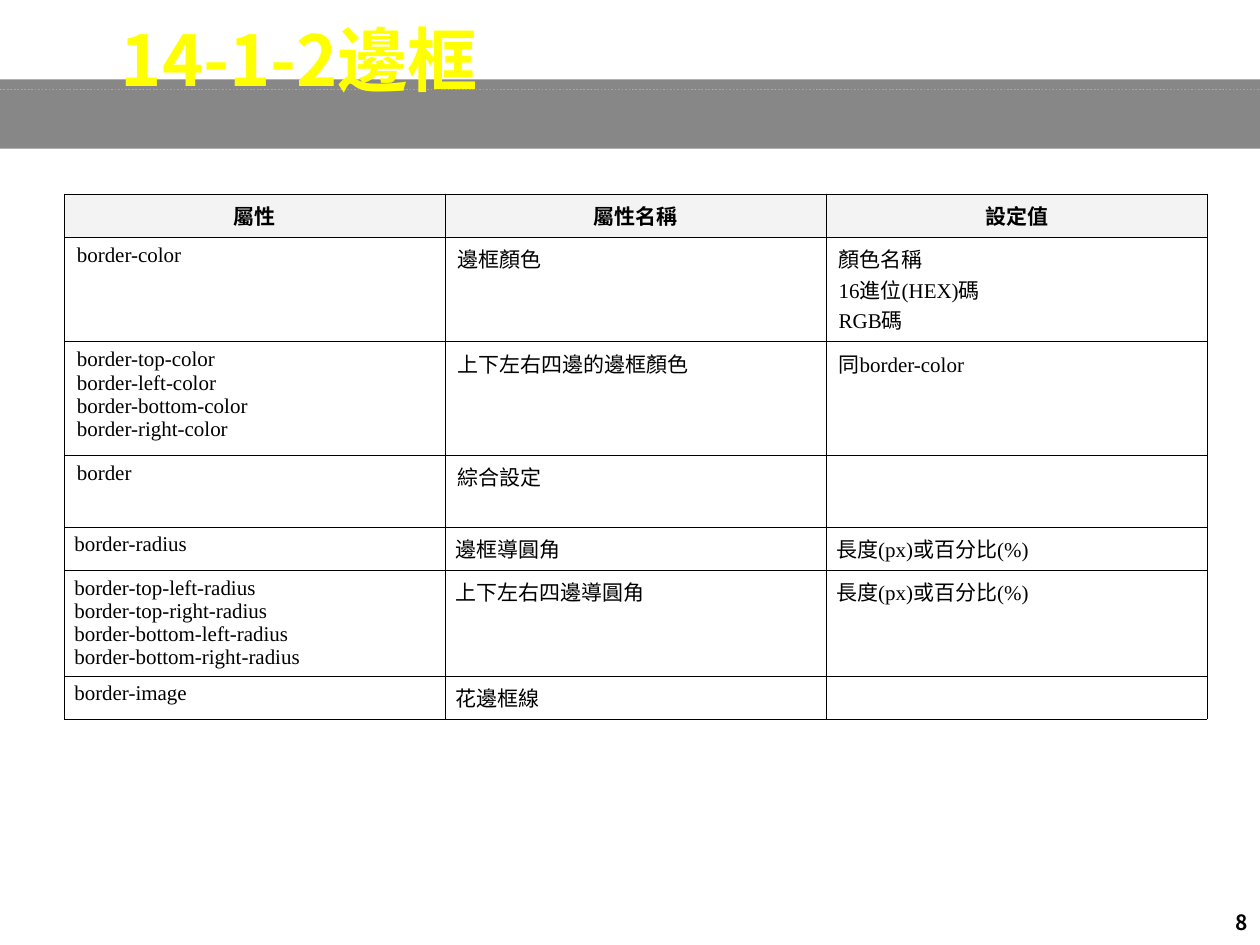
"""Build the slide with the table of border properties."""
from dataclasses import dataclass

import pptx
import pptx.dml.color
import pptx.enum.dml
import pptx.enum.shapes
import pptx.enum.text
import pptx.oxml
import pptx.oxml.ns
import pptx.util

Inches = pptx.util.Inches
Pt = pptx.util.Pt
Align = pptx.enum.text.PP_ALIGN
SANS, SERIF = "Noto Sans CJK SC", "Times New Roman"
HUES = {"band": "111111", "rule": "99CC00", "title": "FFFF00", "ink": "000000", "head": "F3F3F3"}
NS = pptx.oxml.ns.nsdecls("a")


@dataclass
class Row:
    """A table row: its height, cell texts, side inset and hanging indent."""
    high: float
    cells: tuple[str, str, str]
    inset: float = 0.1
    hang: float = 0.38


ROWS = [
    Row(0.34, ("屬性", "屬性名稱", "設定值")),
    Row(0.83, ("border-color", "邊框顏色", "顏色名稱\n16進位(HEX)碼\nRGB碼")),
    Row(0.9, ("border-top-color\nborder-left-color\nborder-bottom-color\nborder-right-color",
              "上下左右四邊的邊框顏色", "同border-color")),
    Row(0.57, ("border", "綜合設定", "")),
    Row(0.34, ("border-radius", "邊框導圓角", "長度(px)或百分比(%)"), 0.08, 0),
    Row(0.83, ("border-top-left-radius\nborder-top-right-radius\n"
               "border-bottom-left-radius\nborder-bottom-right-radius",
               "上下左右四邊導圓角", "長度(px)或百分比(%)"), 0.08, 0),
    Row(0.34, ("border-image", "花邊框線", ""), 0.08, 0),
]


def tint(name: str) -> pptx.dml.color.RGBColor:
    """Give the named colour."""
    return pptx.dml.color.RGBColor.from_string(HUES[name])


def write(frame, text: str, *, size: float = 12, face: str = SERIF, hue: str = "ink",
          bold: bool = False, align=Align.LEFT, space: float = 1.0, hang: float = 0) -> None:
    """Put formatted text in a frame, one paragraph a line."""
    frame.word_wrap = True
    for i, line in enumerate(text.split("\n")):
        para = frame.paragraphs[0] if i == 0 else frame.add_paragraph()
        para.alignment, para.line_spacing = align, space
        para.space_before = para.space_after = Pt(0)
        props = para._p.get_or_add_pPr()
        props.set("marL", str(Inches(hang)))
        props.set("indent", str(-Inches(hang)))
        if not line:
            para._p.append(pptx.oxml.parse_xml(f'<a:endParaRPr {NS} sz="{int(size * 100)}"/>'))
            continue
        run = para.add_run()
        run.text = line
        font = run.font
        font.size, font.name, font.bold = Pt(size), face, bold
        font.color.rgb = tint(hue)
        font._element.find(pptx.oxml.ns.qn("a:latin")).addnext(
            pptx.oxml.parse_xml(f'<a:ea {NS} typeface="{SANS}"/>'))


def edge(cell, width: float = 0.45) -> None:
    """Draw all four borders of a cell."""
    props = cell._tc.get_or_add_tcPr()
    for i, side in enumerate("LRTB"):
        props.insert(i, pptx.oxml.parse_xml(
            f'<a:ln{side} {NS} w="{Pt(width)}"><a:solidFill>'
            f'<a:srgbClr val="{HUES["ink"]}"/></a:solidFill></a:ln{side}>'))


def grid(slide, rows: list[Row]) -> None:
    """Draw the table with its shaded head row."""
    high = sum(row.high for row in rows)
    table = slide.shapes.add_table(len(rows), 3, Inches(0.51), Inches(1.54),
                                   Inches(9.07), Inches(high)).table
    table.horz_banding = False
    for r, row in enumerate(rows):
        table.rows[r].height = Inches(row.high)
        head = r == 0
        for c, text in enumerate(row.cells):
            cell = table.cell(r, c)
            cell.margin_left = cell.margin_right = Inches(row.inset)
            cell.margin_top = cell.margin_bottom = Inches(0.05)
            if head:
                cell.fill.solid()
                cell.fill.fore_color.rgb = tint("head")
            else:
                cell.fill.background()
            edge(cell)
            write(cell.text_frame, text, bold=head, hang=row.hang,
                  align=Align.CENTER if head else Align.LEFT)


def band(slide) -> None:
    """Draw the grey band and the dotted rule on it."""
    bar = slide.shapes.add_shape(pptx.enum.shapes.MSO_SHAPE.RECTANGLE,
                                 0, Inches(0.63), Inches(10), Inches(0.55))
    bar.shadow.inherit = False
    bar.fill.solid()
    bar.fill.fore_color.rgb = tint("band")
    bar.line.fill.background()
    shade = bar._element.spPr.find(".//" + pptx.oxml.ns.qn("a:srgbClr"))
    shade.append(pptx.oxml.parse_xml(f'<a:alpha {NS} val="50000"/>'))
    rule = slide.shapes.add_connector(pptx.enum.shapes.MSO_CONNECTOR.STRAIGHT,
                                      0, Inches(0.71), Inches(10), Inches(0.71))
    rule.line.color.rgb = tint("rule")
    rule.line.width = Pt(1)
    rule.line.dash_style = pptx.enum.dml.MSO_LINE.ROUND_DOT
    rule._element.spPr.append(pptx.oxml.parse_xml(f"<a:effectLst {NS}/>"))


def main() -> None:
    """Build and save the deck."""
    deck = pptx.Presentation()
    deck.slide_width, deck.slide_height = Inches(10), Inches(7.5)
    slide = deck.slides.add_slide(deck.slide_layouts[5])
    band(slide)
    page = slide.shapes.add_textbox(Inches(7.67), Inches(7.17), Inches(2.33), Inches(0.52))
    write(page.text_frame, "8", face=SANS, bold=True, align=Align.RIGHT)
    title = slide.shapes.title
    title.left, title.top = Inches(0.86), Inches(0.16)
    title.width, title.height = Inches(8.98), Inches(0.97)
    title.text_frame.auto_size = pptx.enum.text.MSO_AUTO_SIZE.NONE
    title.text_frame.vertical_anchor = pptx.enum.text.MSO_ANCHOR.TOP
    write(title.text_frame, "14-1-2邊框", size=40, face=SANS, hue="title", bold=True, space=0.9)
    title._element.getparent().append(title._element)
    grid(slide, ROWS)
    deck.save("out.pptx")


if __name__ == "__main__":
    main()
